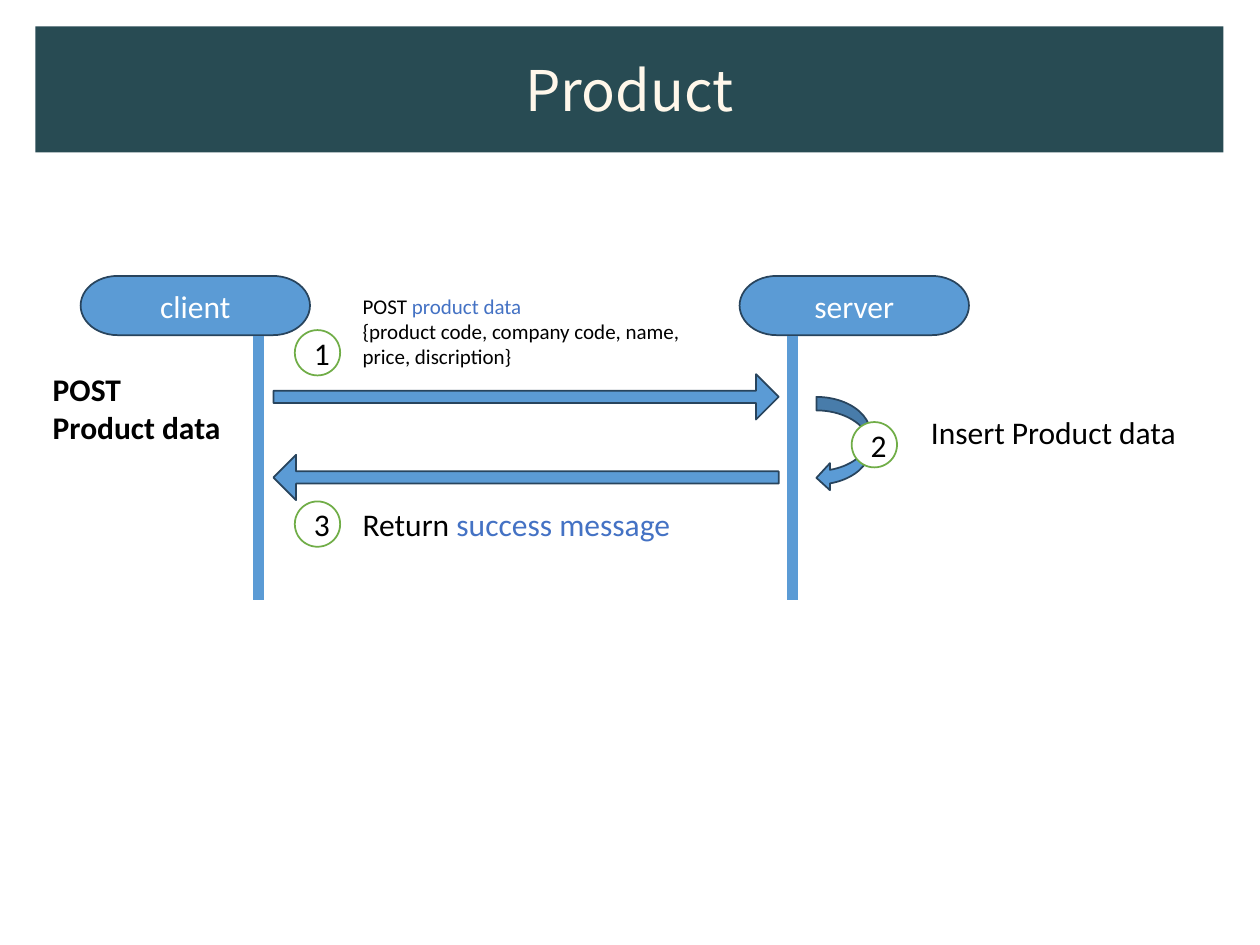
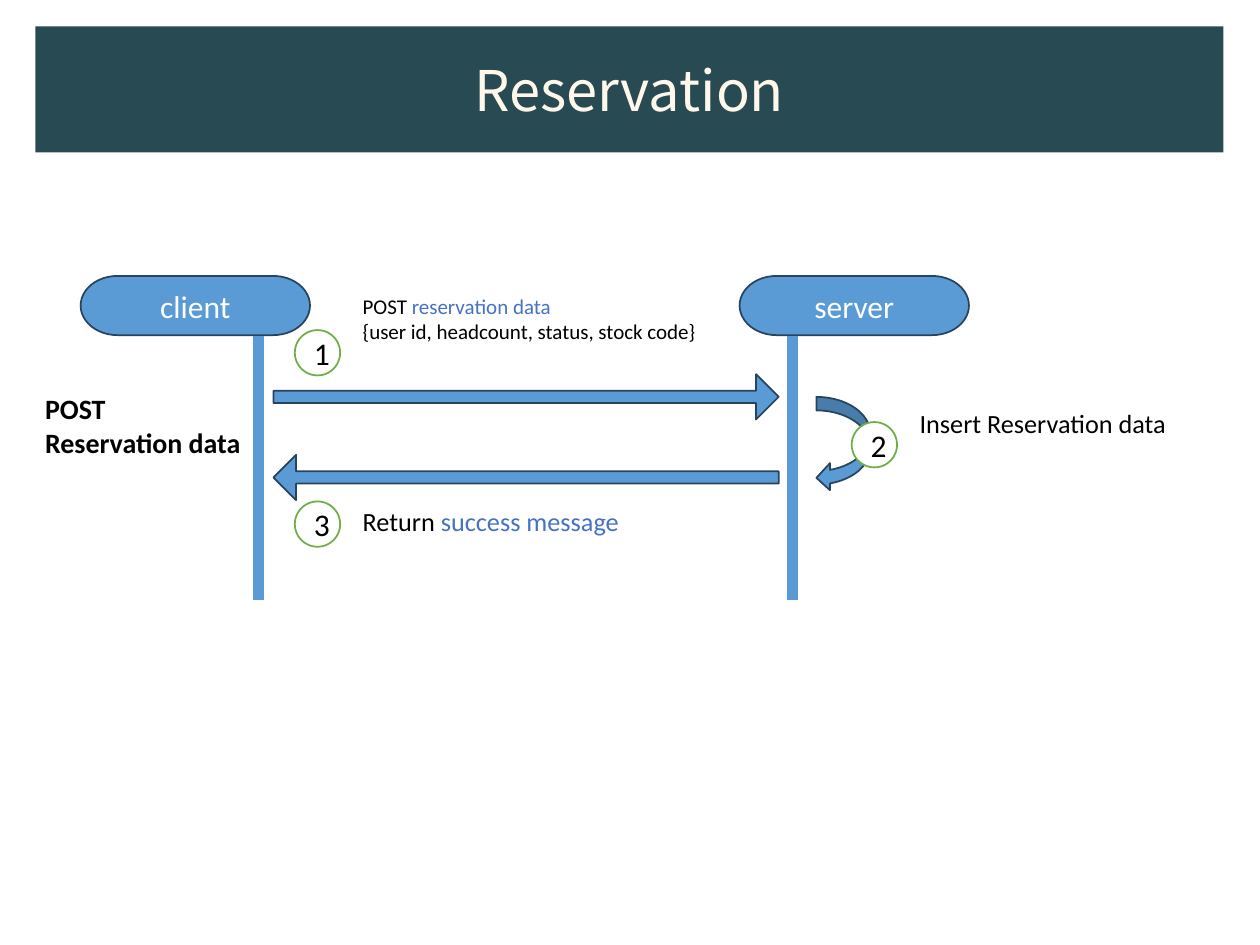
"""Build the client-server sequence slides for product and reservation."""
from lxml.etree import SubElement
from pptx import Presentation
from pptx.dml.color import RGBColor
from pptx.enum.shapes import MSO_CONNECTOR as Connector, MSO_SHAPE as Shape
from pptx.enum.text import MSO_ANCHOR as Anchor, MSO_AUTO_SIZE as AutoSize, PP_ALIGN as Align
from pptx.oxml.ns import qn
from pptx.util import Inches, Pt

BAND = RGBColor(0x28, 0x4B, 0x53)
CREAM = RGBColor(0xFF, 0xF7, 0xEA)
BLUE = RGBColor(0x5B, 0x9B, 0xD5)
OUTLINE = RGBColor(0x28, 0x44, 0x5D)
GREEN = RGBColor(0x70, 0xAD, 0x47)
ACCENT = RGBColor(0x44, 0x72, 0xC4)
BLACK = RGBColor(0, 0, 0)
WHITE = RGBColor(0xFF, 0xFF, 0xFF)

TITLE_FONT = "Noto Sans CJK KR"
BODY_FONT = "Calibri"

ACTORS = [("client", 0.64, 2.05), ("server", 5.87, 6.29)]
MESSAGES = [(Shape.RIGHT_ARROW, 2.97), (Shape.LEFT_ARROW, 3.61)]
STEPS = [("1", 2.34, 2.62), ("2", 6.76, 3.35), ("3", 2.34, 3.98)]

SEQUENCES = [
    {
        "title": "Product",
        "labels": [
            ((0.32, 2.89, 1.55, 0.71), 18, True, [["POST"], ["Product data"]]),
            ((2.78, 2.28, 2.74, 0.71), 12, False,
             [["POST ", "product data"], ["{product code, company code, name,"],
              ["price, discription}"]]),
            ((7.29, 3.23, 2.17, 0.4), 18, False, [["Insert Product data"]]),
            ((2.78, 3.96, 3.31, 0.4), 18, False, [["Return", " success message"]]),
        ],
    },
    {
        "title": "Reservation",
        "labels": [
            ((0.26, 3.06, 1.77, 0.64), 16, True, [["POST"], ["Reservation data"]]),
            ((2.78, 2.28, 2.88, 0.5), 12, False,
             [["POST ", "reservation data"], ["{user id, headcount, status, stock code}"]]),
            ((7.2, 3.18, 2.18, 0.35), 15, False, [["Insert Reservation data"]]),
            ((2.78, 3.96, 3.31, 0.35), 15, False, [["Return", " success message"]]),
        ],
    },
]


class SequenceDeck:
    """Hold the deck style and the slide being drawn."""

    def __init__(self):
        self.deck = Presentation()
        self.deck.slide_width = Inches(10)
        self.deck.slide_height = Inches(7.5)
        self.slide = None

    def new_slide(self, heading):
        self.slide = self.deck.slides.add_slide(self.deck.slide_layouts[5])
        title = self.slide.shapes.title
        title.left, title.top = Inches(0.28), Inches(0.21)
        title.width, title.height = Inches(9.43), Inches(1)
        outline = SubElement(title.element.spPr, qn("a:prstGeom"), prst="roundRect")
        SubElement(outline, qn("a:avLst"))
        title.fill.solid()
        title.fill.fore_color.rgb = BAND
        title.text_frame.text = heading
        title.text_frame.vertical_anchor = Anchor.MIDDLE
        title.text_frame.paragraphs[0].alignment = Align.CENTER
        self.style_run(title.text_frame.paragraphs[0].runs[0], 32, CREAM, font=TITLE_FONT)

    def style_run(self, run, size, color, bold=False, font=BODY_FONT):
        run.font.name = font
        run.font.size = Pt(size)
        run.font.bold = bold
        run.font.color.rgb = color

    def block(self, kind, box, fill=BLUE, line=OUTLINE, text="", color=WHITE):
        block = self.slide.shapes.add_shape(kind, *map(Inches, box))
        block.shadow.inherit = False
        block.fill.solid()
        block.fill.fore_color.rgb = fill
        block.line.color.rgb = line
        block.line.width = Pt(1)
        if text:
            block.text_frame.text = text
            block.text_frame.vertical_anchor = Anchor.MIDDLE
            block.text_frame.paragraphs[0].alignment = Align.CENTER
            self.style_run(block.text_frame.paragraphs[0].runs[0], 18, color)
        return block

    def actor(self, name, left, lifeline_x):
        self.block(Shape.FLOWCHART_TERMINATOR, (left, 2.19, 1.82, 0.47), text=name)
        lifeline = self.slide.shapes.add_connector(
            Connector.STRAIGHT, Inches(lifeline_x), Inches(2.67), Inches(lifeline_x), Inches(4.76))
        lifeline.line.color.rgb = BLUE
        lifeline.line.width = Pt(6)
        SubElement(lifeline.element.spPr, qn("a:effectLst"))

    def message(self, direction, top):
        arrow = self.block(direction, (2.17, top, 4.01, 0.36))
        arrow.adjustments[0] = 0.27
        arrow.adjustments[1] = 0.5

    def step(self, number, left, top):
        self.block(Shape.OVAL, (left, top, 0.36, 0.36), WHITE, GREEN, number, BLACK)

    def label(self, box, size, bold, lines):
        frame = self.slide.shapes.add_textbox(*map(Inches, box)).text_frame
        frame.word_wrap = False
        frame.auto_size = AutoSize.SHAPE_TO_FIT_TEXT
        frame.text = "\n".join(line[0] for line in lines)
        for paragraph, (_, *highlights) in zip(frame.paragraphs, lines):
            paragraph.alignment = Align.LEFT
            self.style_run(paragraph.runs[0], size, BLACK, bold)
            for highlight in highlights:
                run = paragraph.add_run()
                run.text = highlight
                self.style_run(run, size, ACCENT, bold)
        if box[2] > 3:
            frame.word_wrap = True

    def sequence(self, title, labels):
        self.new_slide(title)
        for actor in ACTORS:
            self.actor(*actor)
        for message in MESSAGES:
            self.message(*message)
        self.block(Shape.CURVED_LEFT_ARROW, (6.48, 3.15, 0.43, 0.75))
        for step in STEPS:
            self.step(*step)
        for label in labels:
            self.label(*label)


def main():
    sequences = SequenceDeck()
    for sequence in SEQUENCES:
        sequences.sequence(**sequence)
    sequences.deck.save("out.pptx")


if __name__ == "__main__":
    main()
